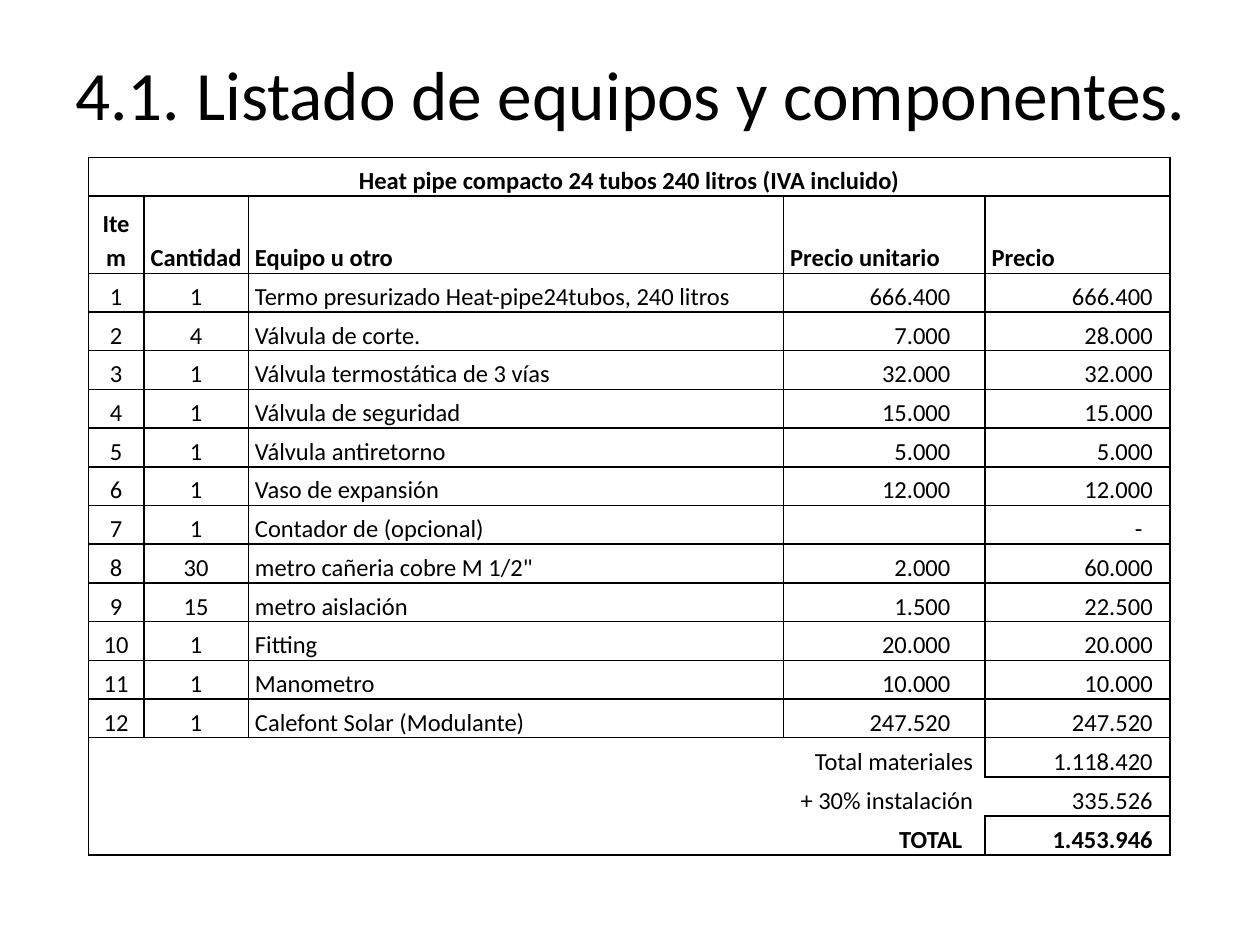
from lxml.etree import SubElement as Sub
from pptx import Presentation as Deck
from pptx.dml.color import RGBColor as Rgb
from pptx.enum.text import MSO_ANCHOR as Anchor, PP_ALIGN as Align
from pptx.oxml.ns import qn
from pptx.util import Cm, Pt

TITLE = "4.1. Listado de equipos y componentes."
BAND = "Heat pipe compacto 24 tubos 240 litros (IVA incluido)"
HEADS = ["Item", "Cantidad", "Equipo u otro", "Precio unitario", "Precio"]
ITEMS = [
    ("1", "Termo presurizado Heat-pipe24tubos, 240 litros", "666.400", "666.400"),
    ("4", "Válvula de corte.", "7.000", "28.000"),
    ("1", "Válvula termostática de 3 vías", "32.000", "32.000"),
    ("1", "Válvula de seguridad", "15.000", "15.000"),
    ("1", "Válvula antiretorno", "5.000", "5.000"),
    ("1", "Vaso de expansión", "12.000", "12.000"),
    ("1", "Contador de (opcional)", "", "-"),
    ("30", 'metro cañeria cobre M 1/2"', "2.000", "60.000"),
    ("15", "metro aislación", "1.500", "22.500"),
    ("1", "Fitting", "20.000", "20.000"),
    ("1", "Manometro", "10.000", "10.000"),
    ("1", "Calefont Solar (Modulante)", "247.520", "247.520"),
]
SUMS = [
    ("Total materiales", "1.118.420"),
    ("+ 30% instalación", "335.526"),
    ("TOTAL", "1.453.946"),
]
COLORS = {"ink": "000000", "paper": "FFFFFF"}
FACE = "Calibri"
WIDTHS = [1.12, 2.11, 10.79, 4.06, 3.73]
ALIGNS = [Align.CENTER, Align.CENTER, Align.LEFT, Align.RIGHT, Align.RIGHT]
PAD = 0.13
INSETS = [PAD, PAD, PAD, 0.7, 0.35]

ROWS = [[BAND, "", "", "", ""], HEADS]
ROWS += [[str(n), *item] for n, item in enumerate(ITEMS, 1)]
FOOT = len(ROWS)
ROWS += [["", "", "", *pair] for pair in SUMS]
LAST = len(ROWS) - 1


def style(par, size, bold=False):
    par.font.name = FACE
    par.font.size = Pt(size)
    par.font.bold = bold
    par.font.color.rgb = Rgb.from_string(COLORS["ink"])


def edges(row, col):
    if row < FOOT:
        return "LRTB"
    split = row != FOOT + 1
    if col == 4:
        return "RTB" + "L" * split
    return ("L" * (col == 0) + "R" * (col == 3 and split)
            + "T" * (row == FOOT) + "B" * (row == LAST))


def border(cell, sides):
    props = cell._tc.get_or_add_tcPr()
    for side in "LRTB":
        line = Sub(props, qn("a:ln" + side), w=str(Pt(1)))
        if side in sides:
            fill = Sub(line, qn("a:solidFill"))
            Sub(fill, qn("a:srgbClr"), val=COLORS["ink"])
        else:
            Sub(line, qn("a:noFill"))


def layout(row, col):
    if row == 0:
        return Align.CENTER, PAD
    if row == 1 and col > 2:
        return Align.LEFT, PAD
    if row >= FOOT and col == 3:
        return Align.RIGHT, 0.46 if row == LAST else 0.24
    if ROWS[row][col] == "-":
        return Align.RIGHT, 0.56
    return ALIGNS[col], INSETS[col]


def fill_cell(cell, row, col):
    align, inset = layout(row, col)
    cell.margin_left, cell.margin_right = Cm(PAD), Cm(inset)
    cell.margin_top = cell.margin_bottom = 0
    cell.vertical_anchor = Anchor.BOTTOM
    border(cell, edges(row, col))
    cell.fill.background()
    par = cell.text_frame.paragraphs[0]
    par.text = ROWS[row][col]
    par.alignment = align
    par.line_spacing = 1.15
    style(par, 14, row < 2 or row == LAST)


def add_title(slide):
    box = slide.shapes.add_textbox(Cm(1.27), Cm(0.76), Cm(23.55), Cm(2.21))
    frame = box.text_frame
    frame.word_wrap = True
    frame.vertical_anchor = Anchor.MIDDLE
    frame.text = TITLE
    style(frame.paragraphs[0], 39.6)


def add_list(slide):
    high = [0.78, 1.56] + [0.78] * len(ITEMS) + [0.79] * len(SUMS)
    table = slide.shapes.add_table(
        len(ROWS), len(WIDTHS), Cm(1.78), Cm(3.17),
        Cm(sum(WIDTHS)), Cm(sum(high))).table
    table.first_row = table.horz_banding = False
    for col, width in zip(table.columns, WIDTHS):
        col.width = Cm(width)
    for row, height in zip(table.rows, high):
        row.height = Cm(height)
    table.cell(0, 0).merge(table.cell(0, len(WIDTHS) - 1))
    for row in range(len(ROWS)):
        for col in range(len(WIDTHS)):
            fill_cell(table.cell(row, col), row, col)


def main():
    deck = Deck()
    deck.slide_width, deck.slide_height = Cm(25.4), Cm(19.05)
    slide = deck.slides.add_slide(deck.slide_layouts[6])
    back = slide.background.fill
    back.solid()
    back.fore_color.rgb = Rgb.from_string(COLORS["paper"])
    add_title(slide)
    add_list(slide)
    deck.save("out.pptx")


if __name__ == "__main__":
    main()
